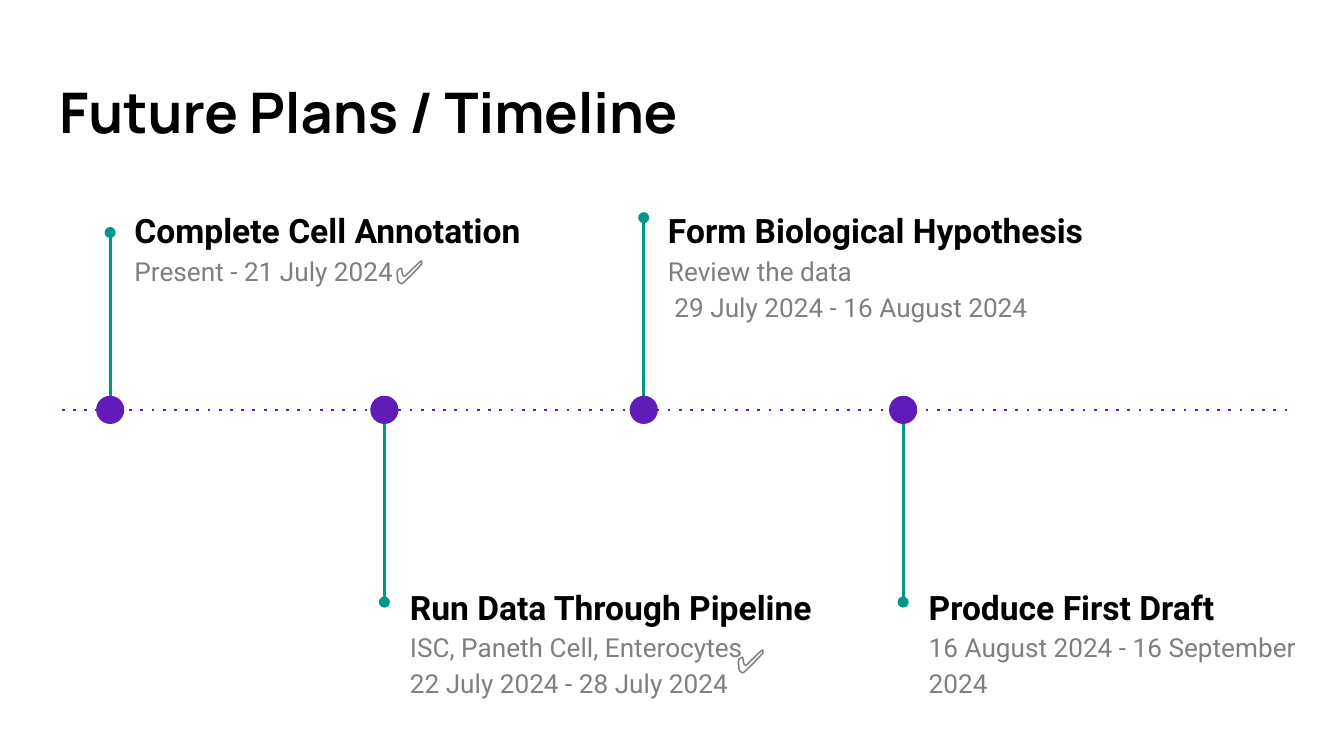
from dataclasses import dataclass

from pptx import Presentation
from pptx.dml.color import RGBColor as Rgb
from pptx.enum.shapes import MSO_CONNECTOR as Conn, MSO_SHAPE as Shape
from pptx.enum.text import MSO_ANCHOR as Anchor, MSO_AUTO_SIZE as Fit, PP_ALIGN as Align
from pptx.oxml.ns import qn
from pptx.util import Inches, Pt


@dataclass(frozen=True)
class Theme:
    """Colours, fonts and type sizes of the slide."""
    ink: str = "000000"
    grey: str = "7F7F7F"
    axis: str = "611BB8"
    stem: str = "009688"
    head: str = "Manrope"
    text: str = "Roboto"
    title: int = 30
    step: int = 18
    note: int = 14


THEME = Theme()
AXIS, DOT = 3.05, 0.21
STEPS = [
    (0.82, 1.73, (0.9, 1.42, 3.15, 1.06), 16,
     ["Complete Cell Annotation", "Present - 21 July 2024"]),
    (2.86, 4.48, (2.95, 4.22, 3.3, 1.06), 16,
     ["Run Data Through Pipeline", "ISC, Paneth Cell, Enterocytes", "22 July 2024 - 28 July 2024"]),
    (4.79, 1.62, (4.87, 1.42, 3.7, 1.06), 0,
     ["Form Biological Hypothesis", "Review the data", " 29 July 2024 - 16 August 2024"]),
    (6.72, 4.48, (6.81, 4.22, 3.15, 1.06), 16,
     ["Produce First Draft", "16 August 2024 - 16 September 2024"]),
]
CHECKS = [(2.84, 1.77), (5.38, 4.66)]


def place(shape, x, y, w, h):
    """Move and size a shape."""
    shape.left, shape.top, shape.width, shape.height = map(Inches, (x, y, w, h))


def set_frame(frame, anchor=Anchor.TOP):
    """Give a text frame even margins, wrapping and a fixed size."""
    frame.margin_left = frame.margin_right = Inches(0.1)
    frame.margin_top = frame.margin_bottom = Inches(0.1)
    frame.word_wrap, frame.auto_size = True, Fit.NONE
    frame.vertical_anchor = anchor


def style(para, size, color, bold=False, face=THEME.text):
    """Format a paragraph and its runs."""
    para.alignment, para.space_before = Align.LEFT, Pt(0)
    for run in para.runs:
        font = run.font
        font.name, font.size, font.bold = face, Pt(size), bold
        font.color.rgb = Rgb.from_string(color)


def add_line(shapes, start, end, color, tag, **attrs):
    """Draw a straight line with one extra line property."""
    line = shapes.add_connector(Conn.STRAIGHT, *map(Inches, start + end))
    line.line.color.rgb = Rgb.from_string(color)
    line.line.width = Pt(1.5)
    props = line._element.spPr
    ln = props.find(qn("a:ln"))
    ln.append(ln.makeelement(qn(tag), attrs))
    props.append(props.makeelement(qn("a:effectLst"), {}))


def add_mark(slide, x, tip):
    """Draw a dot on the axis with its stem."""
    group = slide.shapes.add_group_shape().shapes
    side = DOT / 2 if tip > AXIS else -DOT / 2
    add_line(group, (x, AXIS + side), (x, tip), THEME.stem, "a:tailEnd", type="oval")
    dot = group.add_shape(Shape.OVAL, *map(Inches, (x - DOT / 2, AXIS - DOT / 2, DOT, DOT)))
    dot.shadow.inherit = False
    dot.fill.solid()
    dot.fill.fore_color.rgb = Rgb.from_string(THEME.axis)
    dot.line.fill.background()


def fill_title(title):
    """Write the slide title."""
    place(title, 0.34, 0.49, 9.32, 0.68)
    set_frame(title.text_frame, Anchor.MIDDLE)
    title.text_frame.text = "Future Plans / Timeline"
    style(title.text_frame.paragraphs[0], THEME.title, THEME.ink, True, THEME.head)


def fill_step(body, box, after, lines):
    """Write a step heading and its notes."""
    place(body, *box)
    frame = body.text_frame
    set_frame(frame)
    frame.text = "\n".join(lines)
    for i, para in enumerate(frame.paragraphs):
        if i == 0:
            style(para, THEME.step, THEME.ink, True)
        else:
            style(para, THEME.note, THEME.grey)
        para.line_spacing = 1.15
        props = para._p.get_or_add_pPr()
        props.set("marL", "0")
        props.set("indent", "0")
        props.append(props.makeelement(qn("a:buNone"), {}))
    frame.paragraphs[-1].space_after = Pt(after)


def add_check(slide, x, y):
    """Add a check mark."""
    frame = slide.shapes.add_textbox(*map(Inches, (x, y, 0.74, 0.48))).text_frame
    set_frame(frame)
    frame.text = "✅"
    style(frame.paragraphs[0], THEME.step, THEME.grey)


def main():
    """Build the timeline slide."""
    deck = Presentation()
    deck.slide_width = Inches(10)
    deck.slide_height = deck.slide_width * 9 // 16
    slide = deck.slides.add_slide(deck.slide_layouts[4])
    title, *bodies = slide.placeholders
    fill_title(title)
    add_line(slide.shapes, (0.46, AXIS), (9.58, AXIS), THEME.axis, "a:prstDash", val="dot")
    for body, (x, tip, box, after, lines) in zip(bodies, STEPS):
        add_mark(slide, x, tip)
        fill_step(body, box, after, lines)
    for x, y in CHECKS:
        add_check(slide, x, y)
    deck.save("out.pptx")


if __name__ == "__main__":
    main()
